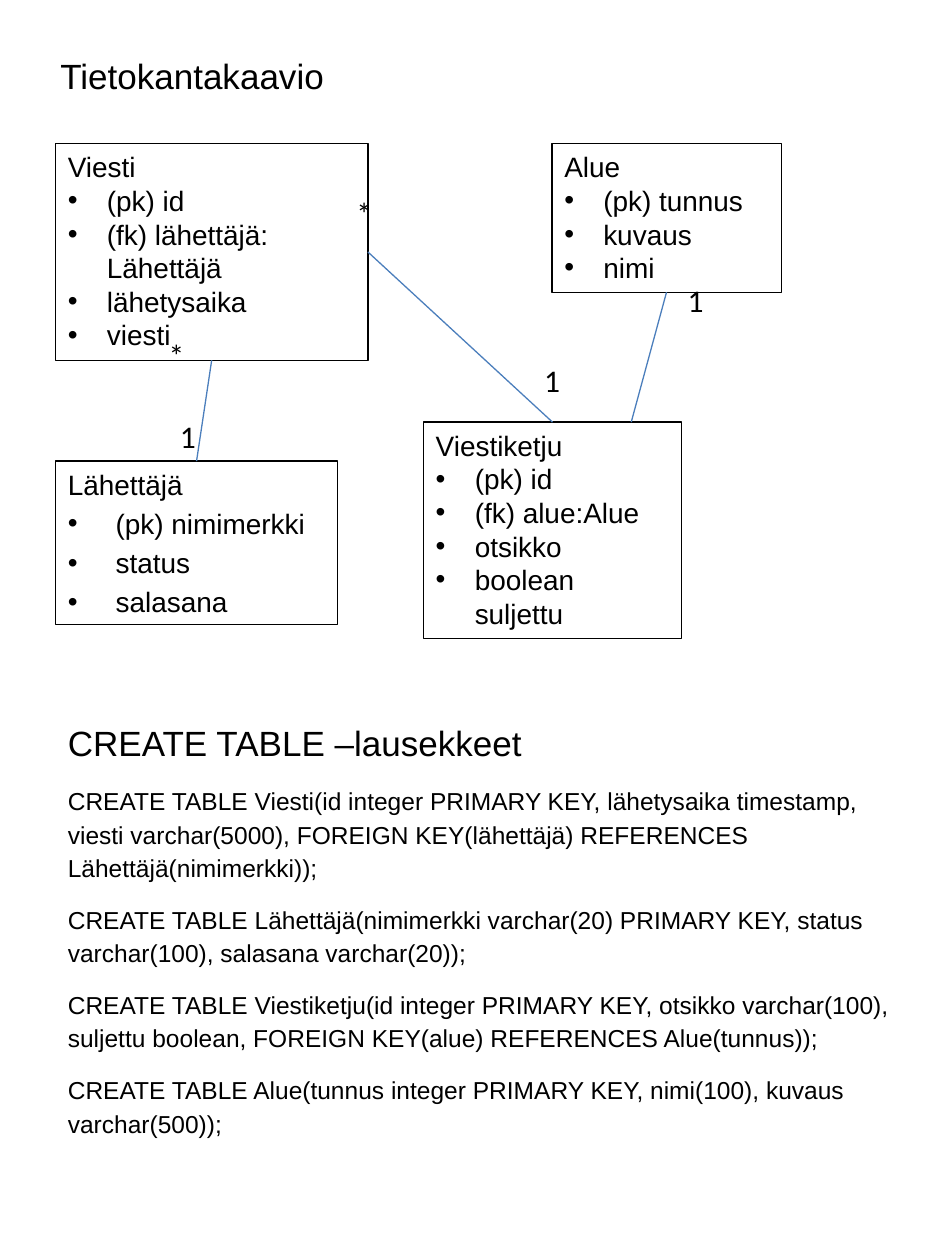
from lxml import etree
from pptx import Presentation
from pptx.dml.color import RGBColor
from pptx.enum.shapes import MSO_CONNECTOR, MSO_SHAPE
from pptx.enum.text import MSO_ANCHOR, PP_ALIGN
from pptx.oxml.ns import qn
from pptx.util import Inches, Pt

RECTANGLE = MSO_SHAPE.RECTANGLE
STRAIGHT = MSO_CONNECTOR.STRAIGHT
TOP_ANCHOR = MSO_ANCHOR.TOP
LEFT = PP_ALIGN.LEFT
BLACK = "000000"
BLUE = "4B7EBC"
BOTTOM_SIDE, RIGHT_SIDE, TOP_SIDE = 2, 3, 0

STATEMENTS = [
    "CREATE TABLE Viesti(id integer PRIMARY KEY, lähetysaika timestamp, viesti varchar(5000), "
    "FOREIGN KEY(lähettäjä) REFERENCES Lähettäjä(nimimerkki));",
    "CREATE TABLE Lähettäjä(nimimerkki varchar(20) PRIMARY KEY, status varchar(100), "
    "salasana varchar(20));",
    "CREATE TABLE Viestiketju(id integer PRIMARY KEY, otsikko varchar(100), suljettu boolean, "
    "FOREIGN KEY(alue) REFERENCES Alue(tunnus));",
    "CREATE TABLE Alue(tunnus integer PRIMARY KEY, nimi(100), kuvaus varchar(500));",
]
MULTIPLICITIES = [
    ("1", 1.33, 3.26),
    ("*", 1.24, 2.62),
    ("1", 5.36, 2.18),
    ("1", 4.22, 2.82),
    ("*", 2.73, 1.49),
]


def color(value):
    return RGBColor.from_string(value)


def style(paragraph, size, font="Arial"):
    paragraph.alignment = LEFT
    for run in paragraph.runs:
        run.font.size = Pt(size)
        run.font.name = font
        run.font.color.rgb = color(BLACK)


def add_bullet(paragraph, indent):
    properties = paragraph._p.get_or_add_pPr()
    properties.set("marL", str(Inches(indent)))
    properties.set("indent", str(-Inches(indent)))
    bullet_font = etree.SubElement(properties, qn("a:buFont"))
    bullet_font.set("typeface", "Arial")
    etree.SubElement(properties, qn("a:buChar")).set("char", "•")


def add_entity(slide, bounds, name, fields, indent=0.31, gap=0):
    entity = slide.shapes.add_shape(RECTANGLE, *map(Inches, bounds))
    entity.shadow.inherit = False
    entity.fill.background()
    entity.line.color.rgb = color(BLACK)
    entity.line.width = Pt(0.75)
    frame = entity.text_frame
    frame.word_wrap = True
    frame.vertical_anchor = TOP_ANCHOR
    frame.text = "\n".join([name, *fields])
    for paragraph in frame.paragraphs:
        style(paragraph, 16)
    for field in frame.paragraphs[1:]:
        field.space_before = Pt(gap)
        add_bullet(field, indent)
    return entity


def add_relation(slide, start, end):
    relation = slide.shapes.add_connector(STRAIGHT, *map(Inches, (*start, *end)))
    relation.line.color.rgb = color(BLUE)
    relation.line.width = Pt(0.75)
    etree.SubElement(relation._element.spPr, qn("a:effectLst"))
    return relation


def add_text(slide, bounds, text):
    frame = slide.shapes.add_textbox(*map(Inches, bounds)).text_frame
    frame.word_wrap = True
    frame.text = text
    return frame


def add_multiplicity(slide, symbol, left, top):
    frame = add_text(slide, (left, top, 0.32, 0.4), symbol)
    style(frame.paragraphs[0], 18, "Calibri")


def add_section(slide, bounds, heading, statements=()):
    frame = add_text(slide, bounds, "\n".join([heading, *statements]))
    for index, paragraph in enumerate(frame.paragraphs):
        paragraph.line_spacing = 1.15
        paragraph.space_after = Pt(10)
        style(paragraph, 14 if index else 20)


def main():
    presentation = Presentation()
    presentation.slide_width = Inches(7.5)
    presentation.slide_height = Inches(10)
    slide = presentation.slides.add_slide(presentation.slide_layouts[6])

    add_section(slide, (0.38, 0.33, 6.75, 0.66), "Tietokantakaavio")

    sender = add_entity(slide, (0.44, 3.66, 2.24, 1.3), "Lähettäjä",
                        ["(pk) nimimerkki", "status", "salasana"], indent=0.38, gap=3.2)
    message = add_entity(slide, (0.44, 1.14, 2.48, 1.72), "Viesti",
                         ["(pk) id", "(fk) lähettäjä: Lähettäjä", "lähetysaika", "viesti"])
    thread = add_entity(slide, (3.36, 3.35, 2.05, 1.72), "Viestiketju",
                        ["(pk) id", "(fk) alue:Alue", "otsikko", "boolean suljettu"])
    area = add_entity(slide, (4.38, 1.14, 1.82, 1.18), "Alue",
                      ["(pk) tunnus", "kuvaus", "nimi"])

    message_sender = add_relation(slide, (1.68, 2.86), (1.56, 3.66))
    message_sender.begin_connect(message, BOTTOM_SIDE)
    message_sender.end_connect(sender, TOP_SIDE)
    message_thread = add_relation(slide, (2.92, 2), (4.38, 3.35))
    message_thread.begin_connect(message, RIGHT_SIDE)
    message_thread.end_connect(thread, TOP_SIDE)
    area_thread = add_relation(slide, (5.29, 2.32), (5.01, 3.35))
    area_thread.begin_connect(area, BOTTOM_SIDE)

    for symbol, left, top in MULTIPLICITIES:
        add_multiplicity(slide, symbol, left, top)

    add_section(slide, (0.44, 5.63, 6.77, 3.49), "CREATE TABLE –lausekkeet", STATEMENTS)
    presentation.save("out.pptx")


if __name__ == "__main__":
    main()
